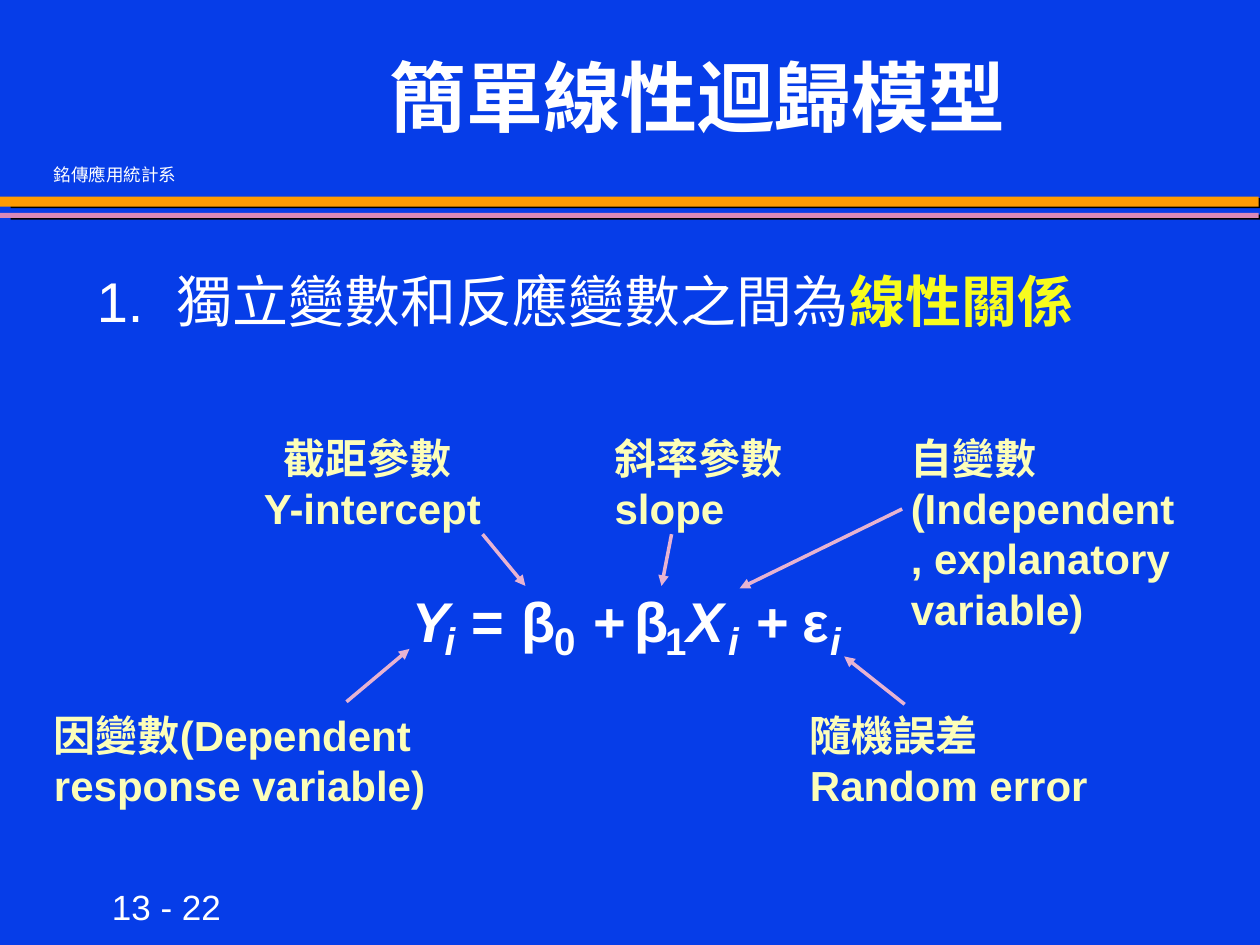
from typing import NamedTuple

from pptx import Presentation
from pptx.dml.color import RGBColor as RGB
from pptx.enum.shapes import MSO_CONNECTOR as CONN, MSO_SHAPE as SHAPE
from pptx.enum.text import MSO_ANCHOR as ANCHOR, PP_ALIGN as ALIGN
from pptx.oxml import parse_xml
from pptx.oxml.ns import nsdecls, qn
from pptx.util import Inches, Pt

COLORS = {
    "background": "063DE8", "orange": "FE9B03", "pink": "D989B8",
    "shadow": "000000", "text": "FFFFFF", "highlight": "F7FC1E",
    "label": "FCFEB9", "arrow": "E7B3D1",
}
BASE_TOP, SUB_TOP = 4.61, 4.85
LABEL_TOP, LABEL_BOTTOM = 3.38, 5.58


class Bar(NamedTuple):
    top: float
    height: float
    color: str


class Term(NamedTuple):
    text: str
    left: float
    width: float
    sub: bool = False
    italic: bool = False


class Label(NamedTuple):
    text: str
    left: float
    top: float
    width: float
    height: float
    align: ALIGN = ALIGN.LEFT


class Arrow(NamedTuple):
    x1: float
    y1: float
    x2: float
    y2: float


BARS = [Bar(1.56, 0.08, "orange"), Bar(1.69, 0.04, "pink")]
TERMS = [
    Term("Y", 3.17, 0.5, italic=True),
    Term("i", 3.43, 0.28, sub=True, italic=True),
    Term("=", 3.64, 0.55),
    Term("β", 4.04, 0.44),
    Term("0", 4.3, 0.37, sub=True),
    Term("+", 4.61, 0.46),
    Term("β", 4.94, 0.44),
    Term("1", 5.18, 0.37, sub=True),
    Term("X", 5.35, 0.5, italic=True),
    Term("i", 5.68, 0.28, sub=True, italic=True),
    Term("+", 5.91, 0.46),
    Term("ε", 6.27, 0.39),
    Term("i", 6.49, 0.28, sub=True, italic=True),
]
LABELS = [
    Label("截距參數 \vY-intercept", 1.75, LABEL_TOP, 2.41, 0.9, ALIGN.CENTER),
    Label("斜率參數slope", 4.78, LABEL_TOP, 1.97, 0.9),
    Label("自變數(Independent , explanatory variable)", 7.13, LABEL_TOP, 2.41, 1.7),
    Label("因變數(Dependent response variable)", 0.33, LABEL_BOTTOM, 3.58, 0.9),
    Label("隨機誤差Random error", 6.33, LABEL_BOTTOM, 2.54, 0.9),
]
ARROWS = [
    Arrow(2.75, 5.57, 3.25, 5.15),
    Arrow(7.18, 5.59, 6.7, 5.21),
    Arrow(3.83, 4.24, 4.17, 4.65),
    Arrow(5.33, 4.24, 5.25, 4.65),
    Arrow(7.16, 4.04, 5.87, 4.67),
]


def rgb(name: str) -> RGB:
    return RGB.from_string(COLORS[name])


def format_font(font, size: float, color: str = "text", **values) -> None:
    for key, value in {"name": "Arial", "size": Pt(size), **values}.items():
        setattr(font, key, value)
    font.color.rgb = rgb(color)


def add_text(slide, text: str, box: tuple, size: float, color: str = "text",
             align: ALIGN = ALIGN.LEFT, **values):
    """Add a one-paragraph text box; extra values go to the run's font."""
    tf = slide.shapes.add_textbox(*map(Inches, box)).text_frame
    tf.word_wrap = True
    p = tf.paragraphs[0]
    p.text = text
    p.alignment = align
    for r in p.runs:
        format_font(r.font, size, color, **values)
    return tf


def add_bar(slide, bar: Bar) -> None:
    sp = slide.shapes.add_shape(SHAPE.RECTANGLE, Inches(0), Inches(bar.top),
                                Inches(9.99), Inches(bar.height))
    sp.fill.solid()
    sp.fill.fore_color.rgb = rgb(bar.color)
    sp.line.fill.background()
    sp.shadow.inherit = False
    effects = sp.element.spPr.find(qn("a:effectLst"))
    effects.append(parse_xml(
        f'<a:outerShdw {nsdecls("a")} dist="{Pt(6.1)}" dir="{9 * 60000}" '
        f'algn="ctr" rotWithShape="0"><a:srgbClr val="{COLORS["shadow"]}"/>'
        '</a:outerShdw>'))


def add_term(slide, term: Term) -> None:
    top, height, size = (SUB_TOP, 0.46, 22) if term.sub else (BASE_TOP, 0.63, 32)
    add_text(slide, term.text, (term.left, top, term.width, height), size,
             bold=True, italic=term.italic)


def add_arrow(slide, arrow: Arrow) -> None:
    line = slide.shapes.add_connector(CONN.STRAIGHT, *map(Inches, arrow))
    line.line.color.rgb = rgb("arrow")
    line.line.width = Pt(2)
    line.line._get_or_add_ln().append(
        parse_xml(f'<a:tailEnd {nsdecls("a")} type="triangle"/>'))
    line.element.spPr.append(parse_xml(f'<a:effectLst {nsdecls("a")}/>'))


def add_statement(slide) -> None:
    tf = add_text(slide, "1.\t獨立變數和反應變數之間為", (0.67, 2.07, 8.92, 4.5), 32)
    p = tf.paragraphs[0]
    pPr = p._p.get_or_add_pPr()
    pPr.set("marL", str(Inches(0.63)))
    pPr.set("indent", str(-Inches(0.63)))
    r = p.add_run()
    r.text = "線性關係"
    format_font(r.font, 32, "highlight", bold=True)


def main() -> None:
    prs = Presentation()
    prs.slide_width, prs.slide_height = Inches(10), Inches(7.5)
    s = prs.slides.add_slide(prs.slide_layouts[6])
    s.background.fill.solid()
    s.background.fill.fore_color.rgb = rgb("background")

    for bar in BARS:
        add_bar(s, bar)
    add_text(s, "13 - 22", (0.79, 6.98, 2.02, 0.43), 20)
    add_text(s, "銘傳應用統計系", (0.33, 1.25, 1.25, 0.43), 10)
    title = add_text(s, "簡單線性迴歸模型", (1.83, 0.17, 7.42, 1.25), 44,
                     align=ALIGN.CENTER, name="Cambria", bold=True)
    title.vertical_anchor = ANCHOR.MIDDLE
    title.paragraphs[0].line_spacing = 0.95
    add_statement(s)

    for term in TERMS:
        add_term(s, term)
    for label in LABELS:
        add_text(s, label.text, label[1:5], 24, "label", label.align, bold=True)
    for arrow in ARROWS:
        add_arrow(s, arrow)
    prs.save("out.pptx")


if __name__ == "__main__":
    main()
